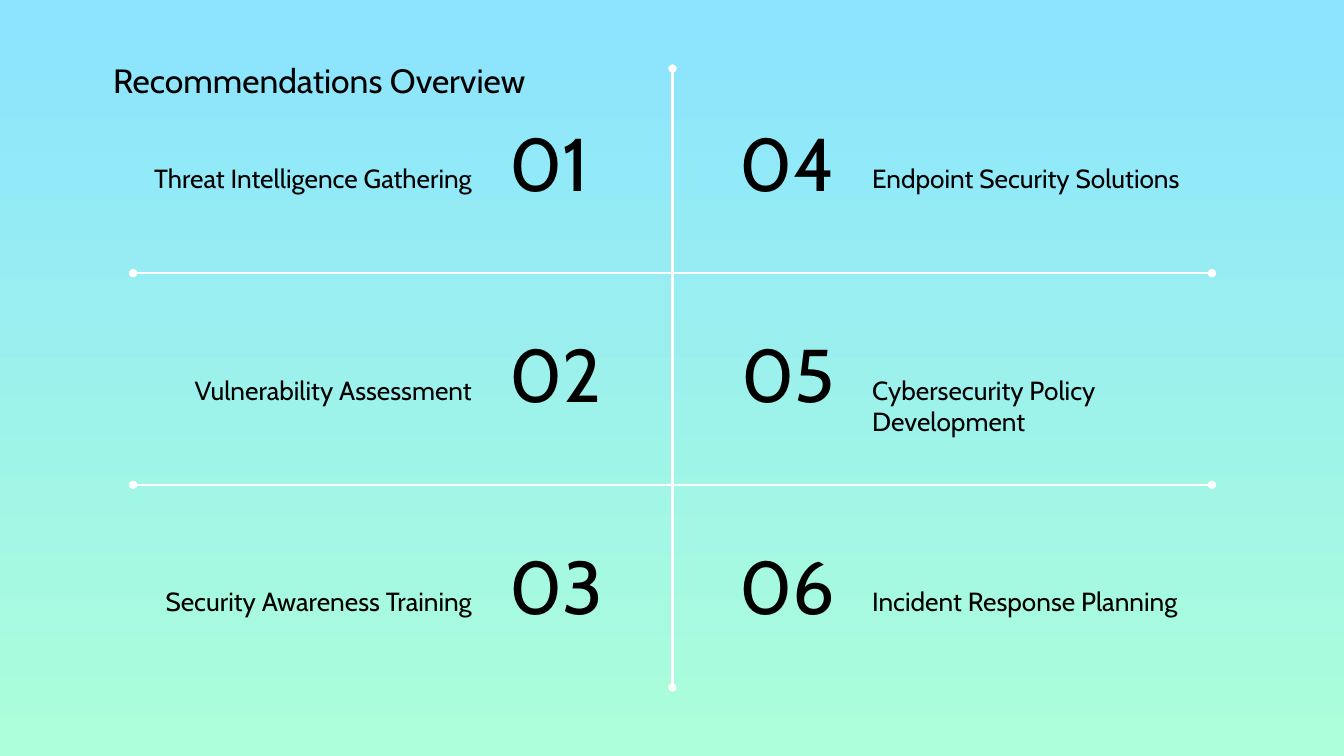
from lxml.etree import SubElement
from pptx import Presentation
from pptx.dml.color import RGBColor
from pptx.enum.shapes import MSO_CONNECTOR as Connector
from pptx.enum.text import MSO_ANCHOR as Anchor, MSO_AUTO_SIZE as AutoSize, PP_ALIGN as Align
from pptx.oxml.ns import qn
from pptx.util import Inches, Pt

COLORS = {"sky": "8BE3FF", "mint": "ACFFD9", "text": "000000", "line": "FFFFFF"}
LEFT_TOPICS = ["Threat Intelligence Gathering", "Vulnerability Assessment",
               "Security Awareness Training"]
RIGHT_TOPICS = ["Endpoint Security Solutions", "Cybersecurity Policy Development",
                "Incident Response Planning"]
ROW_STEP = 2.1


class OverviewPage:
    """Holds the style and the current slide."""

    font = "Cabin"
    inset = Inches(0.13)

    def __init__(self, deck):
        self.page = deck.slides.add_slide(deck.slide_layouts[5])

    def color(self, name):
        """Return a named colour."""
        return RGBColor.from_string(COLORS[name])

    def background(self, top, bottom):
        """Fill the page with a vertical gradient."""
        fill = self.page.background.fill
        fill.gradient()
        fill.gradient_angle = 270
        for stop, name, position in zip(fill.gradient_stops, (top, bottom), (0, 1)):
            stop.color.rgb = self.color(name)
            stop.position = position

    def set_text(self, box, text, size, align, anchor, spacing):
        """Put formatted text in a box."""
        frame = box.text_frame
        frame.text = text
        frame.word_wrap = True
        frame.auto_size = AutoSize.NONE
        frame.vertical_anchor = anchor
        frame.margin_left = frame.margin_right = self.inset
        frame.margin_top = frame.margin_bottom = self.inset
        para = frame.paragraphs[0]
        para.alignment = align
        para.line_spacing = spacing
        font = para.runs[0].font
        font.name = self.font
        font.size = Pt(size)
        font.color.rgb = self.color("text")

    def title(self, text, left, top, width, height):
        """Place the page title."""
        box = self.page.shapes.title
        box.left, box.top = Inches(left), Inches(top)
        box.width, box.height = Inches(width), Inches(height)
        self.set_text(box, text, 24, Align.RIGHT, Anchor.BOTTOM, 0.9)

    def text(self, text, left, top, width, height, size, align,
             anchor=Anchor.TOP, spacing=1.0):
        """Add a text box."""
        box = self.page.shapes.add_textbox(
            Inches(left), Inches(top), Inches(width), Inches(height))
        self.set_text(box, text, size, align, anchor, spacing)

    def divider(self, x1, y1, x2, y2):
        """Add a line with a dot at each end."""
        line = self.page.shapes.add_connector(
            Connector.STRAIGHT, Inches(x1), Inches(y1), Inches(x2), Inches(y2))
        line.line.color.rgb = self.color("line")
        line.line.width = Pt(1.5)
        properties = line.element.spPr
        outline = properties.find(qn("a:ln"))
        for end in ("a:headEnd", "a:tailEnd"):
            SubElement(outline, qn(end), type="oval")
        SubElement(properties, qn("a:effectLst"))

    def column(self, topics, first, number_left, topic_left, number_align, topic_align):
        """Add a column of numbered topics."""
        for row, topic in enumerate(topics):
            offset = row * ROW_STEP
            self.text(f"{first + row:02}", number_left, 1.08 + offset, 1.74, 1.15,
                      53.3, number_align, Anchor.MIDDLE, 0.9)
            self.text(topic, topic_left, 1.48 + offset, 3.98, 0.93, 18.7, topic_align)


def main():
    """Build the recommendations page."""
    deck = Presentation()
    deck.slide_width, deck.slide_height = Inches(13.33), Inches(7.5)
    overview = OverviewPage(deck)
    overview.background("sky", "mint")
    overview.title("Recommendations Overview", 0.83, -0.02, 4.51, 1.15)
    overview.divider(6.67, 0.68, 6.67, 6.82)
    for row in range(2):
        y = 2.71 + row * ROW_STEP
        overview.divider(1.32, y, 12.02, y)
    overview.column(LEFT_TOPICS, 1, 4.92, 0.83, Align.LEFT, Align.RIGHT)
    overview.column(RIGHT_TOPICS, 4, 6.67, 8.52, Align.RIGHT, Align.LEFT)
    deck.save("out.pptx")


if __name__ == "__main__":
    main()
